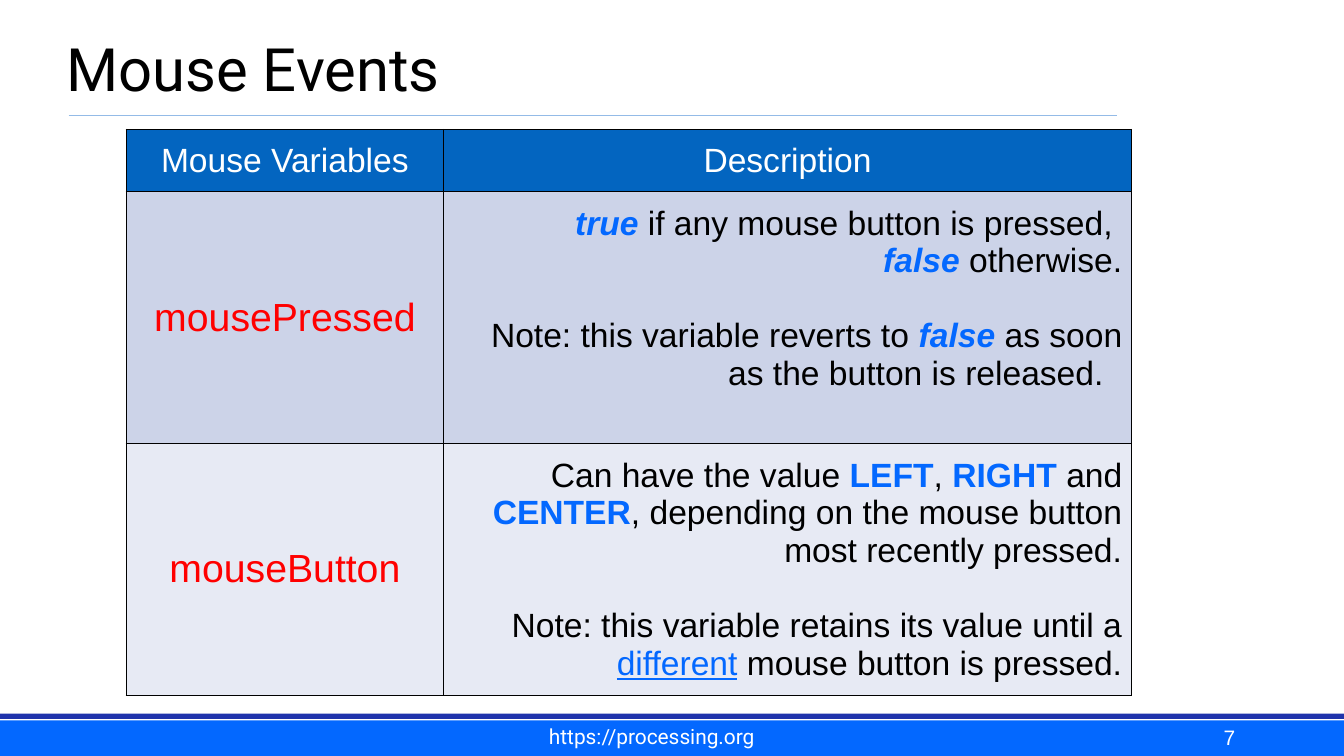
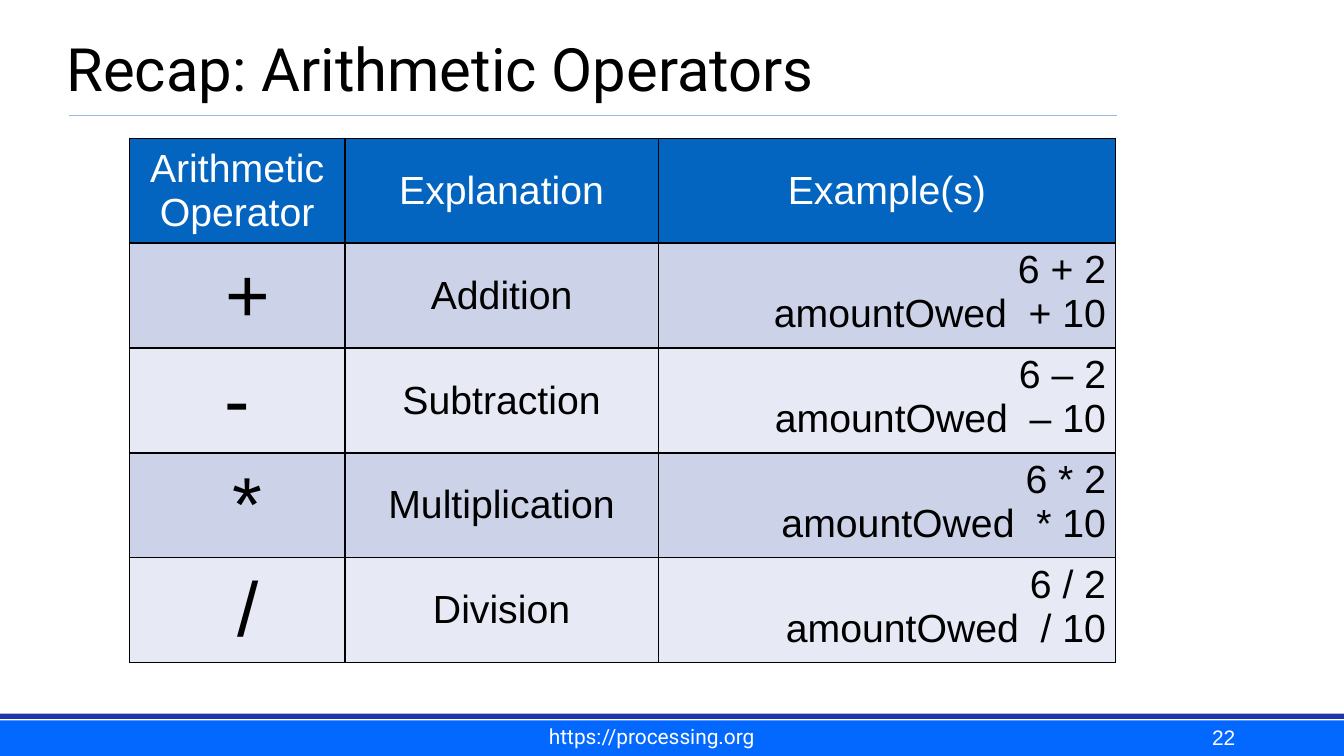
"""Build two slides of a programming course, each with a title, a table and a footer."""
import pptx
import pptx.dml.color
import pptx.enum.shapes
import pptx.enum.text
import pptx.oxml
import pptx.oxml.ns
import pptx.util

COLUMNS, ROWS = 100, 56.25
BLUE, NAVY, RULE, HEADER = "0368FF", "1F33AB", "94BBE7", "0365C0"
BLACK, WHITE, RED = "000000", "FFFFFF", "FF0000"
BANDS = ("CCD3E8", "E7EAF4")
SANS, DISPLAY = "Arial", "Roboto"
BREAK = "\n"
ALIGN = pptx.enum.text.PP_ALIGN
ANCHOR = pptx.enum.text.MSO_ANCHOR
NAMESPACE = pptx.oxml.ns.nsdecls("a")


def color(value):
    return pptx.dml.color.RGBColor.from_string(value)


def write(frame, paragraphs, size=18, font=SANS, ink=BLACK, align=ALIGN.CENTER, gap=0):
    """Fill a frame with paragraphs, each a list of strings and (string, format) pairs."""
    frame.word_wrap = True
    for index, pieces in enumerate(paragraphs):
        paragraph = frame.add_paragraph() if index else frame.paragraphs[0]
        paragraph.alignment = align
        paragraph.space_before = pptx.util.Pt(gap if index else 0)
        for piece in pieces:
            if piece == BREAK:
                paragraph.add_line_break()
                continue
            text, style = (piece, {}) if isinstance(piece, str) else piece
            run = paragraph.add_run()
            run.text = text
            run.font.name = font
            run.font.size = pptx.util.Pt(size)
            run.font.bold = style.get("bold", False)
            run.font.italic = style.get("italic", False)
            run.font.underline = style.get("underline", False)
            run.font.color.rgb = color(style.get("ink", ink))


def set_margins(box, across, down):
    box.margin_left = box.margin_right = pptx.util.Inches(across)
    box.margin_top = box.margin_bottom = pptx.util.Inches(down)


class Deck:
    """Hold the presentation, its shared style and the current slide."""

    def __init__(self):
        self.presentation = pptx.Presentation()
        self.presentation.slide_width = pptx.util.Inches(10)
        self.presentation.slide_height = self.presentation.slide_width * 9 // 16
        self.slide = None

    def across(self, columns):
        return round(self.presentation.slide_width * columns / COLUMNS)

    def down(self, rows):
        return round(self.presentation.slide_height * rows / ROWS)

    def place(self, left, top, width, height):
        return self.across(left), self.down(top), self.across(width), self.down(height)

    def start(self, title, number):
        self.slide = self.presentation.slides.add_slide(self.presentation.slide_layouts[5])
        self.band(53.6, 2.65, BLUE)
        self.band(53.1, 0.4, NAVY)
        self.rule(5.1, 83.1, 8.6)
        self.title(title)
        self.label("https://processing.org", (35.2, 53.5, 26.6, 2.6), DISPLAY,
                   ALIGN.CENTER, (0.08, 0.04))
        self.label(str(number), (71.7, 53.3, 20.8, 3.1), SANS, ALIGN.RIGHT, (0.06, 0.06))

    def band(self, top, height, fill):
        shape = self.slide.shapes.add_shape(
            pptx.enum.shapes.MSO_SHAPE.RECTANGLE, *self.place(0, top, COLUMNS, height))
        shape.shadow.inherit = False
        shape.fill.solid()
        shape.fill.fore_color.rgb = color(fill)
        shape.line.fill.background()

    def rule(self, start, end, row):
        connector = self.slide.shapes.add_connector(
            pptx.enum.shapes.MSO_CONNECTOR.STRAIGHT,
            self.across(start), self.down(row), self.across(end), self.down(row))
        connector.line.color.rgb = color(RULE)
        connector.line.width = pptx.util.Pt(1)
        connector._element.spPr.append(pptx.oxml.parse_xml(f"<a:effectLst {NAMESPACE}/>"))

    def title(self, text):
        shape = self.slide.shapes.title
        shape.left, shape.top, shape.width, shape.height = self.place(4.35, 0, 85, 8.3)
        frame = shape.text_frame
        frame.vertical_anchor = ANCHOR.BOTTOM
        frame.auto_size = pptx.enum.text.MSO_AUTO_SIZE.NONE
        set_margins(frame, 0.06, 0.06)
        write(frame, [[text]], size=32, font=DISPLAY, align=ALIGN.LEFT)

    def label(self, text, area, font, align, margins):
        frame = self.slide.shapes.add_textbox(*self.place(*area)).text_frame
        frame.vertical_anchor = ANCHOR.BOTTOM
        set_margins(frame, *margins)
        write(frame, [[text]], size=11.2, font=font, ink=WHITE, align=align)

    def table(self, left, top, widths, heights, header, header_size):
        """Add a bordered, banded table with its header row and return it."""
        area = self.place(left, top, sum(widths), sum(heights))
        table = self.slide.shapes.add_table(len(heights), len(widths), *area).table
        table.first_row = table.horz_banding = False
        for column, width in zip(table.columns, widths):
            column.width = self.across(width)
        for index, (row, height) in enumerate(zip(table.rows, heights)):
            row.height = self.down(height)
            for cell in row.cells:
                self.style_cell(cell, BANDS[(index - 1) % 2] if index else HEADER)
        for cell, text in zip(table.rows[0].cells, header):
            write(cell.text_frame, [[text]], size=header_size, ink=WHITE)
        return table

    def style_cell(self, cell, fill):
        cell.vertical_anchor = ANCHOR.MIDDLE
        set_margins(cell, 0.07, 0.04)
        properties = cell._tc.get_or_add_tcPr()
        for side in ("lnL", "lnR", "lnT", "lnB"):
            properties.append(pptx.oxml.parse_xml(
                f'<a:{side} {NAMESPACE} w="12700"><a:solidFill><a:srgbClr val="{BLACK}"/>'
                f'</a:solidFill></a:{side}>'))
        cell.fill.solid()
        cell.fill.fore_color.rgb = color(fill)


def add_mouse_events(deck):
    value = {"ink": BLUE, "bold": True, "italic": True}
    constant = {"ink": BLUE, "bold": True}
    variables = [
        ("mousePressed", [
            [("true ", value), "if any mouse button is pressed, ", BREAK,
             ("false ", value), "otherwise."],
            ["Note: this variable reverts to ", ("false ", value),
             "as soon as the button is released.  "],
        ]),
        ("mouseButton", [
            ["Can have the value ", ("LEFT", constant), ", ", ("RIGHT ", constant), "and ",
             ("CENTER", constant), ", depending on the mouse button most recently pressed."],
            ["Note: this variable retains its value until a ",
             ("different", {"ink": BLUE, "underline": True}), " mouse button is pressed."],
        ]),
    ]
    deck.start("Mouse Events", 7)
    table = deck.table(9.4, 9.65, (23.6, 51.2), (4.6, 18.75, 18.75),
                       ("Mouse Variables", "Description"), 18)
    for row, (name, description) in enumerate(variables, start=1):
        write(table.cell(row, 0).text_frame, [[name]], size=21, ink=RED)
        write(table.cell(row, 1).text_frame, description, align=ALIGN.RIGHT, gap=20)
    table.cell(1, 1).margin_bottom = pptx.util.Inches(0.32)


def add_arithmetic_operators(deck):
    operators = [
        (" +", "Addition", "+"),
        (" - ", "Subtraction", "–"),
        (" *", "Multiplication", "*"),
        (" /", "Division", "/"),
    ]
    deck.start("Recap: Arithmetic Operators", 22)
    table = deck.table(9.65, 10.3, (16, 23.35, 34), [7.74] * 5,
                       ("Arithmetic Operator", "Explanation", "Example(s)"), 21)
    for row, (symbol, name, sign) in enumerate(operators, start=1):
        write(table.cell(row, 0).text_frame, [[symbol]], size=41)
        write(table.cell(row, 1).text_frame, [[name]], size=21)
        examples = table.cell(row, 2)
        examples.vertical_anchor = ANCHOR.TOP
        write(examples.text_frame, [[f"6 {sign} 2"], [f"amountOwed  {sign} 10"]],
              size=21, align=ALIGN.RIGHT)


def main():
    deck = Deck()
    add_mouse_events(deck)
    add_arithmetic_operators(deck)
    deck.presentation.save("out.pptx")


if __name__ == "__main__":
    main()
